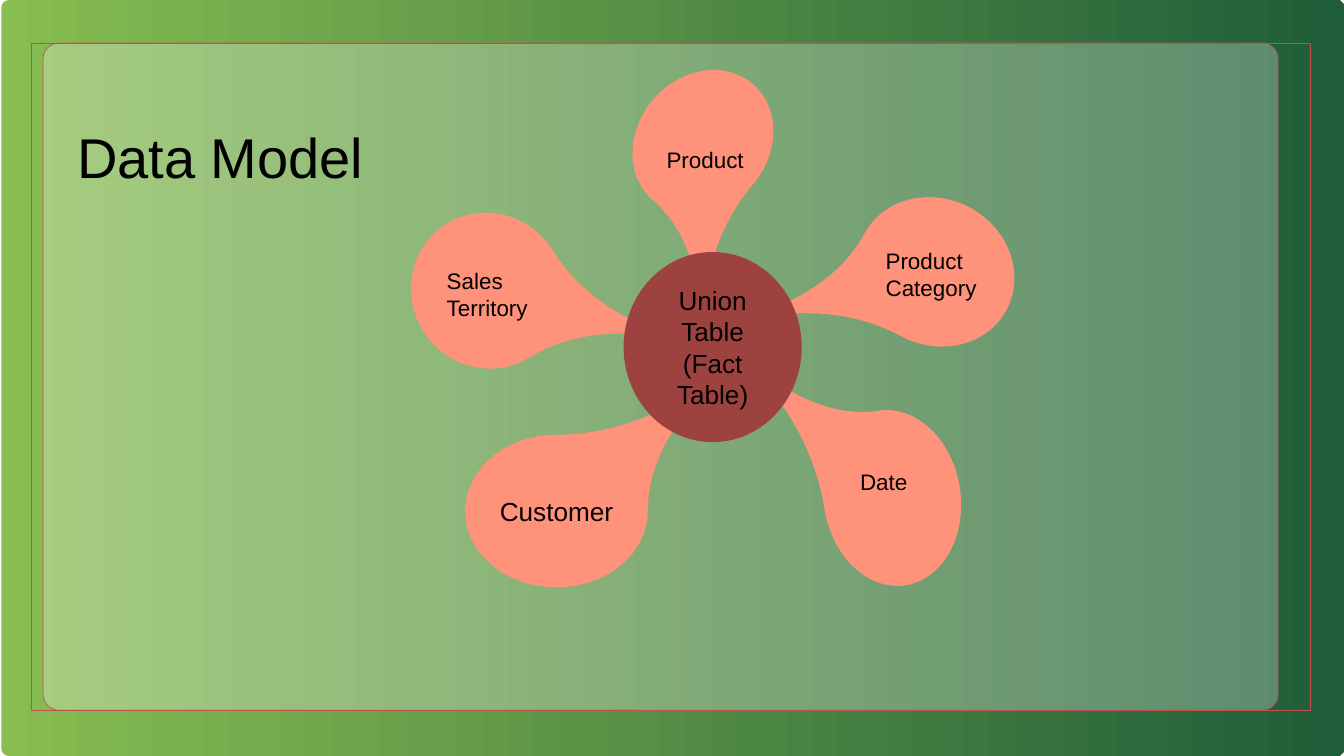
from lxml import etree
from pptx import Presentation
from pptx.dml.color import RGBColor
from pptx.enum.shapes import MSO_SHAPE as SHAPE
from pptx.enum.text import MSO_ANCHOR as ANCHOR, PP_ALIGN as ALIGN
from pptx.oxml.ns import qn
from pptx.util import Inches, Pt

PETAL, HUB, OUTLINE = "FE927A", "9E4240", "C0504D"

# Petal box (left, top, width, height) and rotation
PETALS = [
    (6.92, 6.47, 2.72, 2.27, 0),
    (6.09, 3.19, 2.34, 2.27, 58.4),
    (9.32, 1.14, 2.28, 1.95, 130.8),
    (12.72, 2.96, 2.4, 2.17, 208.3),
    (11.96, 6.39, 2.63, 2.04, 261.2),
]
# Upright labels of the rotated petals
LABELS = [
    ("Sales Territory", 6.55, 3.93, 1.97, 0.78),
    ("Product", 9.82, 2.12, 1.52, 0.52),
    ("Product Category", 13.08, 3.63, 1.65, 0.91),
    ("Date", 12.7, 6.92, 1.58, 0.5),
]


def rgb(color):
    return RGBColor.from_string(color)


def add_shape(slide, kind, box, fill=None, alpha=None, line=None):
    s = slide.shapes.add_shape(kind, *map(Inches, box))
    s.shadow.inherit = False
    if fill:
        s.fill.solid()
        s.fill.fore_color.rgb = rgb(fill)
        if alpha:
            color = s.fill._xPr.find(".//" + qn("a:srgbClr"))
            etree.SubElement(color, qn("a:alpha"), val=str(alpha * 1000))
    else:
        s.fill.background()
    if line:
        s.line.color.rgb = rgb(line)
        s.line.width = Pt(0.75)
    else:
        s.line.fill.background()
    return s


def set_text(s, text, size, align=ALIGN.LEFT):
    tf = s.text_frame
    tf.word_wrap = True
    tf.text = text
    for p in tf.paragraphs:
        p.alignment = align
        for r in p.runs:
            r.font.name = "Arial"
            r.font.size = Pt(size)
            r.font.color.rgb = rgb("000000")
    return tf


def add_label(slide, text, box, size):
    return set_text(slide.shapes.add_textbox(*map(Inches, box)), text, size)


def add_background(slide):
    s = add_shape(slide, SHAPE.ROUNDED_RECTANGLE, (0.02, 0, 19.98, 11.25))
    s.adjustments[0] = 0.01
    s.fill.gradient()
    s.fill.gradient_angle = 0
    for stop, color, position in zip(s.fill.gradient_stops, ("88BD51", "1F5D39"), (0, 1)):
        stop.color.rgb = rgb(color)
        stop.position = position

    # Translucent panel and its wider frame
    panel = add_shape(slide, SHAPE.ROUNDED_RECTANGLE, (0.64, 0.64, 18.38, 9.93),
                      "FFFFFF", alpha=27, line=OUTLINE)
    panel.adjustments[0] = 0.024
    add_shape(slide, SHAPE.RECTANGLE, (0.47, 0.64, 19.03, 9.93), line=OUTLINE)


def add_petal(slide, box, rotation):
    s = add_shape(slide, SHAPE.TEAR, box, PETAL)
    s.adjustments[0] = 1.845
    s.rotation = rotation
    return s


def add_centred_text(s, text):
    tf = set_text(s, text, 28, ALIGN.CENTER)
    tf.vertical_anchor = ANCHOR.MIDDLE
    return tf


def main():
    prs = Presentation()
    prs.slide_width, prs.slide_height = Inches(20), Inches(11.25)
    slide = prs.slides.add_slide(prs.slide_layouts[6])

    add_background(slide)

    # Dimension tables around the fact table
    petals = [add_petal(slide, box, rotation) for *box, rotation in PETALS]
    tf = add_centred_text(petals[0], "Customer")
    tf.margin_left = tf.margin_right = 0
    for text, *box in LABELS:
        add_label(slide, text, box, 24)

    # Fact table
    hub = add_shape(slide, SHAPE.FLOWCHART_CONNECTOR, (9.28, 3.75, 2.65, 2.83), HUB)
    add_centred_text(hub, "Union Table\n(Fact Table)")

    # Title
    tf = add_label(slide, "Data Model", (1.05, 1.85, 5.85, 1.06), 60)
    tf.paragraphs[0].line_spacing = 0.95

    prs.save("out.pptx")


if __name__ == "__main__":
    main()
